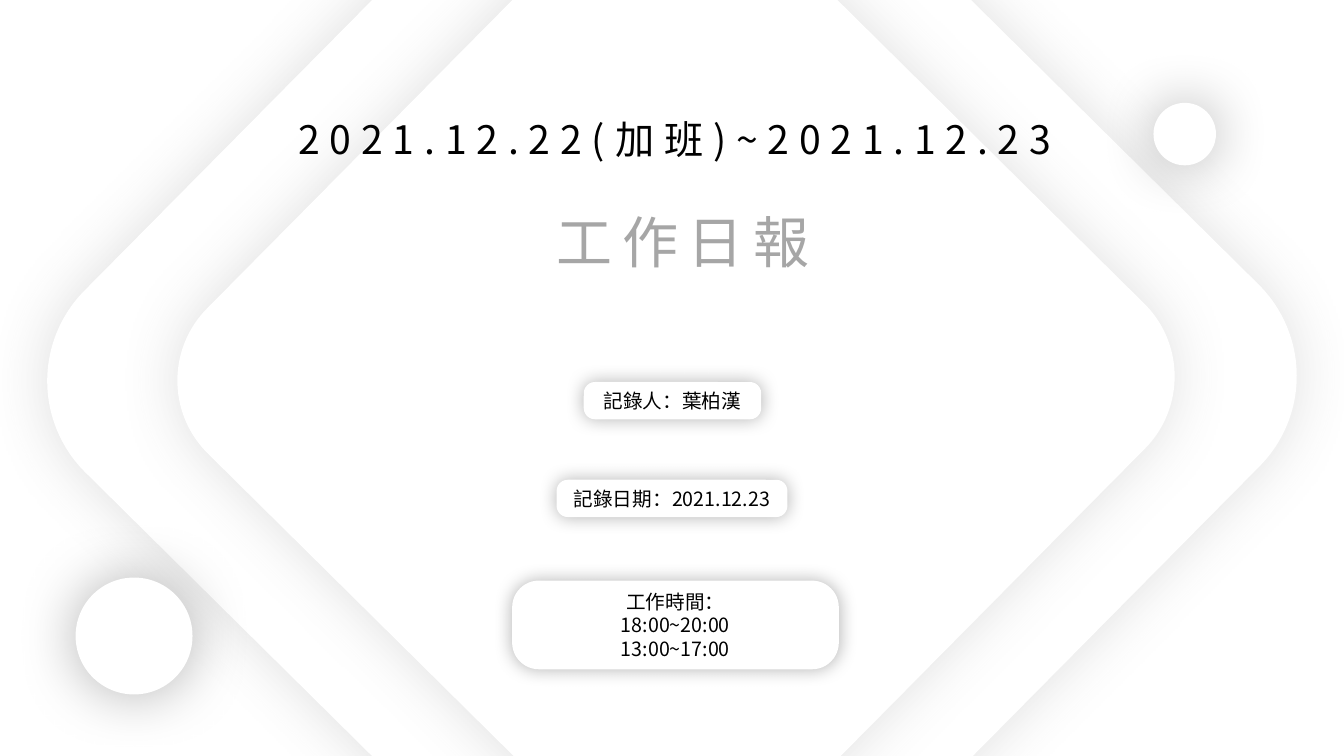
import pptx
import pptx.util
import pptx.dml.color
import pptx.enum.shapes
import pptx.enum.text
import pptx.oxml
import pptx.oxml.ns
from dataclasses import dataclass
from lxml import etree

Inches = pptx.util.Inches
Kind = pptx.enum.shapes.MSO_SHAPE
qn = pptx.oxml.ns.qn


@dataclass(frozen=True)
class Theme:
    font: str = "Noto Sans CJK SC"
    white: str = "FFFFFF"
    black: str = "000000"
    dark: str = "595959"
    gray: str = "A6A6A6"
    title: int = 40
    dates: int = 28
    label: int = 14
    track: int = 7


THEME = Theme()


def color(code):
    return pptx.dml.color.RGBColor.from_string(code)


def place(shape, box):
    shape.left, shape.top, shape.width, shape.height = map(Inches, box)


def write(shape, text, size, ink=THEME.black, track=0):
    frame = shape.text_frame
    frame.text = text
    frame.word_wrap = True
    frame.auto_size = pptx.enum.text.MSO_AUTO_SIZE.NONE
    frame.vertical_anchor = pptx.enum.text.MSO_ANCHOR.MIDDLE
    frame.margin_left = frame.margin_right = 0
    frame.margin_top = frame.margin_bottom = 0
    for line in frame.paragraphs:
        line.alignment = pptx.enum.text.PP_ALIGN.CENTER
        for run in line.runs:
            font = run.font
            font.name = THEME.font
            font.size = pptx.util.Pt(size)
            font.color.rgb = color(ink)
            props = run._r.get_or_add_rPr()
            east = etree.SubElement(props, qn("a:ea"))
            east.set("typeface", THEME.font)
            if track:
                props.set("spc", str(track * 100))


def glow(shape, ink, alpha, blur):
    """Give the shape an even, soft shadow on all sides."""
    shape.shadow.inherit = False
    effects = shape._element.spPr.find(qn("a:effectLst"))
    outer = etree.SubElement(effects, qn("a:outerShdw"))
    outer.set("blurRad", str(pptx.util.Pt(blur)))
    outer.set("dist", "0")
    outer.set("algn", "ctr")
    outer.set("rotWithShape", "0")
    tint = etree.SubElement(outer, qn("a:srgbClr"), val=ink)
    etree.SubElement(tint, qn("a:alpha"), val=str(alpha * 1000))


def panel(slide, kind, box, ink=THEME.black, alpha=30, blur=43, curve=None):
    shape = slide.shapes.add_shape(kind, *map(Inches, box))
    shape.fill.solid()
    shape.fill.fore_color.rgb = color(THEME.white)
    shape.line.fill.background()
    if curve is not None:
        shape.adjustments[0] = curve
    glow(shape, ink, alpha, blur)
    return shape


def diamond(slide, box):
    shape = panel(slide, Kind.ROUNDED_RECTANGLE, box,
                  ink=THEME.dark, alpha=19, curve=0.134)
    shape.rotation = 44.7


def heading(slide, box):
    left, top, width, height = box
    dates = slide.shapes.add_textbox(*map(Inches, (left, top, width, 0.57)))
    write(dates, "2021.12.22(加班)~2021.12.23", THEME.dates, track=THEME.track)
    title = slide.shapes.title
    slide.shapes._spTree.append(title._element)  # bring to the front
    place(title, (left + 1.74, top + height - 0.77, 4.75, 0.77))
    write(title, "工作日報", THEME.title, ink=THEME.gray, track=THEME.track)


def label(slide, box, text):
    shape = panel(slide, Kind.ROUNDED_RECTANGLE, box, blur=13, curve=0.302)
    write(shape, text, THEME.label)


def cover(slide):
    for box in ((1.91, -1, 9.51, 9.51), (2.91, -0.04, 7.59, 7.59)):
        diamond(slide, box)
    heading(slide, (2.66, 1.09, 8.07, 1.69))
    for left, top, size in ((0.75, 5.73, 1.16), (11.44, 1.02, 0.62)):
        panel(slide, Kind.OVAL, (left, top, size, size))
    label(slide, (5.79, 3.79, 1.76, 0.37), "記錄人：葉柏漢")
    label(slide, (5.52, 4.76, 2.29, 0.37), "記錄日期：2021.12.23")
    label(slide, (5.08, 5.76, 3.24, 0.88),
          "工作時間：\n18:00~20:00\n13:00~17:00")


def main():
    deck = pptx.Presentation()
    deck.slide_width = Inches(13.33)
    deck.slide_height = Inches(7.5)
    cover(deck.slides.add_slide(deck.slide_layouts[5]))
    deck.save("out.pptx")


if __name__ == "__main__":
    main()
